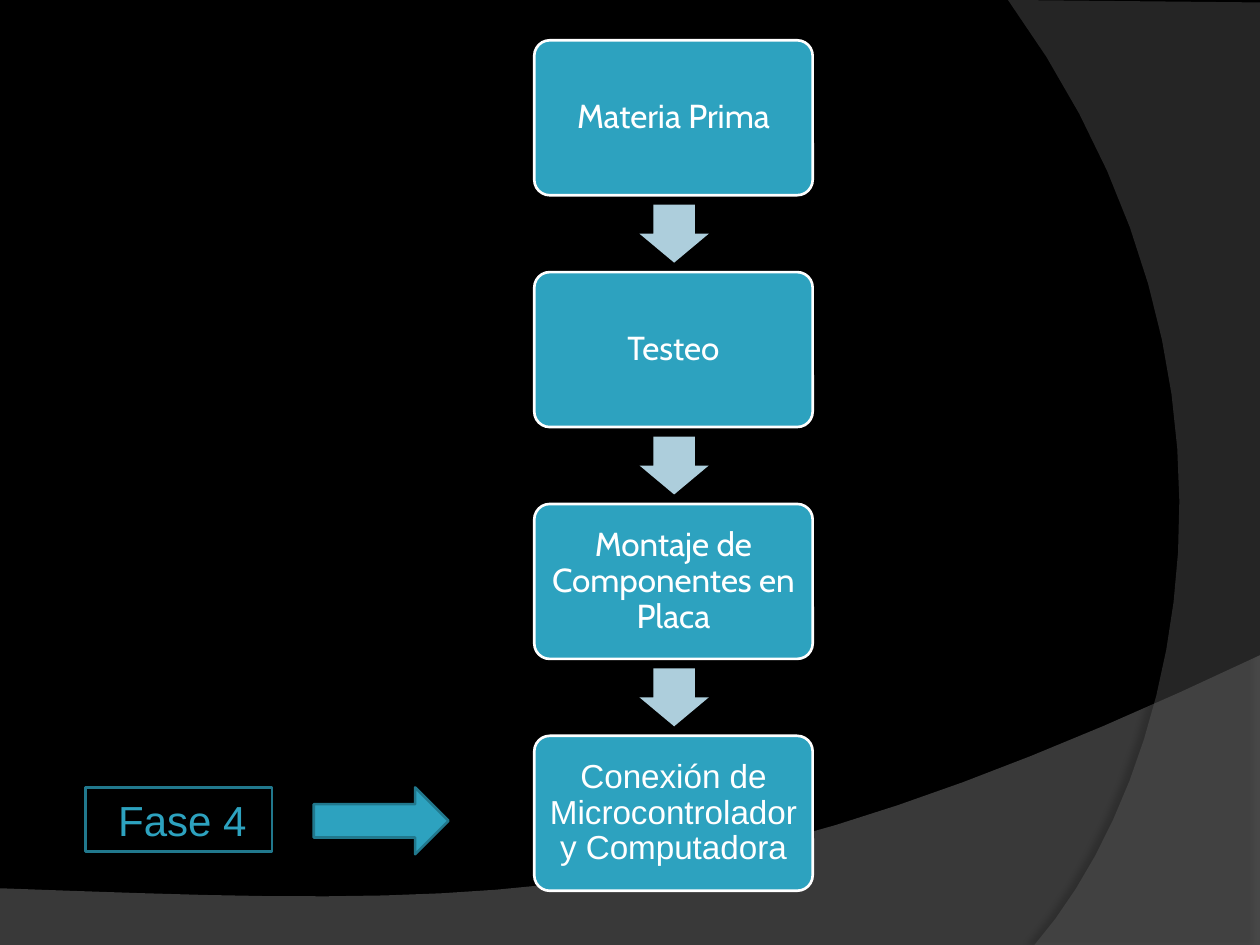
from lxml import etree
from pptx import Presentation
from pptx.dml.color import RGBColor
from pptx.enum.shapes import MSO_SHAPE as SHAPE
from pptx.enum.text import MSO_ANCHOR as ANCHOR, PP_ALIGN as ALIGN
from pptx.oxml.ns import qn
from pptx.util import Inches, Pt

COLORS = {
    "black": "000000", "white": "FFFFFF", "teal": "2DA2BF", "edge": "21788D",
    "pale": "ADCEDC", "wave": "7F7F7F", "arc": "5E5E5E",
}


def rgb(name):
    return RGBColor.from_string(COLORS[name])


def style(sp, fill=None, line=None):
    sp.shadow.inherit = False
    if fill:
        sp.fill.solid()
        sp.fill.fore_color.rgb = rgb(fill)
    else:
        sp.fill.background()
    if line:
        sp.line.color.rgb = rgb(line)
        sp.line.width = Pt(1.5)
    else:
        sp.line.fill.background()


prs = Presentation()
prs.slide_width, prs.slide_height = Inches(10), Inches(7.5)
s = prs.slides.add_slide(prs.slide_layouts[6])
s.background.fill.solid()
s.background.fill.fore_color.rgb = rgb("black")

# Background sweeps: straight corners, then a Bezier edge back to the start
sweeps = [
    {"fill": "wave", "alpha": 45, "corners": [(0, 7.05), (0, 7.51), (10, 7.51)],
     "bezier": [(10, 5.2), (5.59, 7.29), (3.91, 7.19), (0, 7.05)],
     "shadow": {"alpha": 35, "dist": 3.5, "dir": 270}},
    {"fill": "arc", "alpha": 40, "corners": [(10, 0.02), (10, 7.5)],
     "bezier": [(8.21, 7.5), (9.35, 6.19), (10.18, 3), (8, 0)],
     "shadow": {"alpha": 45, "dist": 4, "dir": 180}},
]
STEPS = 20
for sweep in sweeps:
    points = list(sweep["corners"])
    for i in range(STEPS + 1):
        t = i / STEPS
        weights = [(1 - t) ** 3, 3 * t * (1 - t) ** 2, 3 * t ** 2 * (1 - t), t ** 3]
        points.append([sum(w * pt[axis] for w, pt in zip(weights, sweep["bezier"]))
                       for axis in (0, 1)])
    points = [(Inches(x), Inches(y)) for x, y in points]
    builder = s.shapes.build_freeform(*points[0])
    builder.add_line_segments(points[1:], close=True)
    sp = builder.convert_to_shape()
    style(sp, sweep["fill"])

    # Transparency and soft shadow
    sp_pr = sp.element.spPr
    color = sp_pr.find(qn("a:solidFill")).find(qn("a:srgbClr"))
    etree.SubElement(color, qn("a:alpha"), val=str(sweep["alpha"] * 1000))
    shadow = sweep["shadow"]
    outer = etree.SubElement(
        sp_pr.find(qn("a:effectLst")), qn("a:outerShdw"), blurRad=str(Pt(4)),
        dist=str(Pt(shadow["dist"])), dir=str(shadow["dir"] * 60000), rotWithShape="0")
    color = etree.SubElement(outer, qn("a:srgbClr"), val=COLORS["black"])
    etree.SubElement(color, qn("a:alpha"), val=str(shadow["alpha"] * 1000))

# Process steps with an arrow between each pair
steps = [
    ("Materia Prima", "Cabin"),
    ("Testeo", "Cabin"),
    ("Montaje de Componentes en Placa", "Cabin"),
    ("Conexión de Microcontrolador y Computadora", "Arial"),
]
TOP, PITCH = 0.32, 1.84
for i, (label, font) in enumerate(steps):
    y = TOP + i * PITCH
    if i:
        sp = s.shapes.add_shape(SHAPE.RIGHT_ARROW, Inches(5.12), Inches(y - 0.58),
                                Inches(0.46), Inches(0.55))
        sp.rotation = 90
        sp.adjustments[0], sp.adjustments[1] = 0.6, 0.5
        style(sp, "pale")
    sp = s.shapes.add_shape(SHAPE.ROUNDED_RECTANGLE, Inches(4.24), Inches(y),
                            Inches(2.21), Inches(1.23))
    sp.adjustments[0] = 0.1
    style(sp, "teal", "white")
    tf = sp.text_frame
    frame = {"word_wrap": True, "vertical_anchor": ANCHOR.MIDDLE}
    frame.update({f"margin_{side}": Inches(0.07)
                  for side in ("left", "right", "top", "bottom")})
    for name, value in frame.items():
        setattr(tf, name, value)
    p = tf.paragraphs[0]
    p.alignment, p.line_spacing = ALIGN.CENTER, 0.9
    r = p.add_run()
    r.text = label
    for name, value in {"name": font, "size": Pt(19)}.items():
        setattr(r.font, name, value)
    r.font.color.rgb = rgb("white")

# Phase label, its arrow and its frame
sp = s.shapes.add_textbox(Inches(0.84), Inches(6.26), Inches(3), Inches(0.5))
tf = sp.text_frame
tf.word_wrap = True
r = tf.paragraphs[0].add_run()
r.text = "Fase 4"
for name, value in {"name": "Arial", "size": Pt(24)}.items():
    setattr(r.font, name, value)
r.font.color.rgb = rgb("teal")

for kind, x, w, h, fill in [(SHAPE.RIGHT_ARROW, 2.49, 1.07, 0.53, "teal"),
                            (SHAPE.RECTANGLE, 0.68, 1.48, 0.51, None)]:
    sp = s.shapes.add_shape(kind, Inches(x), Inches(6.25), Inches(w), Inches(h))
    style(sp, fill, "edge")

prs.save("out.pptx")
